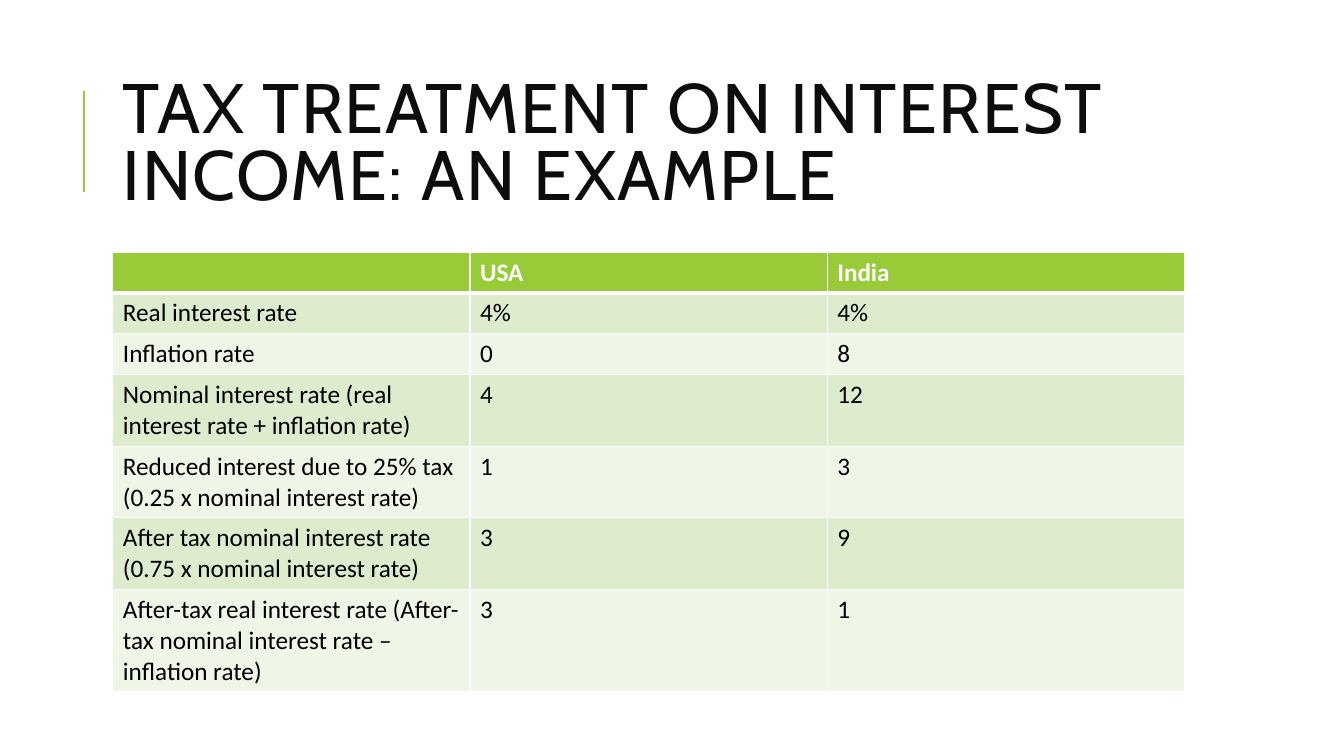
import pptx
import pptx.dml.color
import pptx.enum.shapes
import pptx.enum.text
import pptx.oxml
import pptx.oxml.ns
import pptx.util
from pptx.util import Pt

COLORS = {
    "accent": "99CB38",
    "title": "0D0D0D",
    "text": "000000",
    "white": "FFFFFF",
    "band_dark": "DEECCE",
    "band_light": "EFF6E8",
}

TITLE = "TAX TREATMENT ON INTEREST INCOME: AN EXAMPLE"
RATES = [
    ("", "USA", "India"),
    ("Real interest rate", "4%", "4%"),
    ("Inflation rate", "0", "8"),
    ("Nominal interest rate (real interest rate + inflation rate)", "4", "12"),
    ("Reduced interest due to 25% tax (0.25 x nominal interest rate)", "1", "3"),
    ("After tax nominal interest rate (0.75 x nominal interest rate)", "3", "9"),
    ("After-tax real interest rate (After-tax nominal interest rate – inflation rate)", "3", "1"),
]
CONTENT_LEFT, CONTENT_WIDTH = 80.64, 765.36
ROW_HEIGHT = 29.2


def color(name):
    return pptx.dml.color.RGBColor.from_string(COLORS[name])


def format_runs(paragraph, font_name, size, color_name, bold=False):
    for run in paragraph.runs:
        run.font.name = font_name
        run.font.size = Pt(size)
        run.font.bold = bold
        run.font.color.rgb = color(color_name)


def add_accent_line(slide, x, start_y, end_y):
    line = slide.shapes.add_connector(
        pptx.enum.shapes.MSO_CONNECTOR.STRAIGHT, Pt(x), Pt(start_y), Pt(x), Pt(end_y))
    line.line.color.rgb = color("accent")
    line.line.width = Pt(1.5)
    line._element.spPr.append(pptx.oxml.parse_xml(
        f'<a:effectLst {pptx.oxml.ns.nsdecls("a")}/>'))


def set_title(slide, text):
    title = slide.shapes.title
    title.left, title.top = Pt(CONTENT_LEFT), Pt(46.08)
    title.width, title.height = Pt(CONTENT_WIDTH), Pt(118.08)
    frame = title.text_frame
    frame.text = text
    frame.word_wrap = True
    frame.auto_size = pptx.enum.text.MSO_AUTO_SIZE.NONE
    frame.vertical_anchor = pptx.enum.text.MSO_ANCHOR.MIDDLE
    paragraph = frame.paragraphs[0]
    paragraph.alignment = pptx.enum.text.PP_ALIGN.LEFT
    paragraph.line_spacing = 0.8
    format_runs(paragraph, "Cabin", 50, "title")
    for run in paragraph.runs:
        run.font._element.set("spc", "100")


def set_borders(cell, top, bottom):
    properties = cell._tc.get_or_add_tcPr()
    for side, width in (("L", 1), ("R", 1), ("T", top), ("B", bottom)):
        properties.append(pptx.oxml.parse_xml(
            f'<a:ln{side} {pptx.oxml.ns.nsdecls("a")} w="{Pt(width)}">'
            f'<a:solidFill><a:srgbClr val="{COLORS["white"]}"/></a:solidFill></a:ln{side}>'))


def format_cell(cell, text, row_index):
    header = row_index == 0
    if header:
        fill_name = "accent"
    else:
        fill_name = "band_dark" if row_index % 2 else "band_light"
    # A thick rule separates the header from the first data row
    set_borders(cell, top=3 if row_index == 1 else 1, bottom=3 if header else 1)
    cell.fill.solid()
    cell.fill.fore_color.rgb = color(fill_name)
    paragraph = cell.text_frame.paragraphs[0]
    if text:
        paragraph.text = text
    else:
        paragraph.font.size = Pt(18)
    format_runs(paragraph, "Calibri", 18, "white" if header else "text", header)


def add_rate_table(slide, rows):
    column_count = len(rows[0])
    frame = slide.shapes.add_table(
        len(rows), column_count, Pt(CONTENT_LEFT), Pt(180),
        Pt(CONTENT_WIDTH), Pt(ROW_HEIGHT * len(rows)))
    table = frame.table
    for column in table.columns:
        column.width = Pt(CONTENT_WIDTH / column_count)
    for row_index, texts in enumerate(rows):
        table.rows[row_index].height = Pt(ROW_HEIGHT)
        for column_index, text in enumerate(texts):
            format_cell(table.cell(row_index, column_index), text, row_index)


def main():
    presentation = pptx.Presentation()
    presentation.slide_width, presentation.slide_height = Pt(960), Pt(540)
    slide = presentation.slides.add_slide(presentation.slide_layouts[5])

    # Heading with its accent rule
    add_accent_line(slide, 60, 136.8, 64.8)
    set_title(slide, TITLE)

    # Comparison of the two countries
    add_rate_table(slide, RATES)

    presentation.save("out.pptx")


if __name__ == "__main__":
    main()
